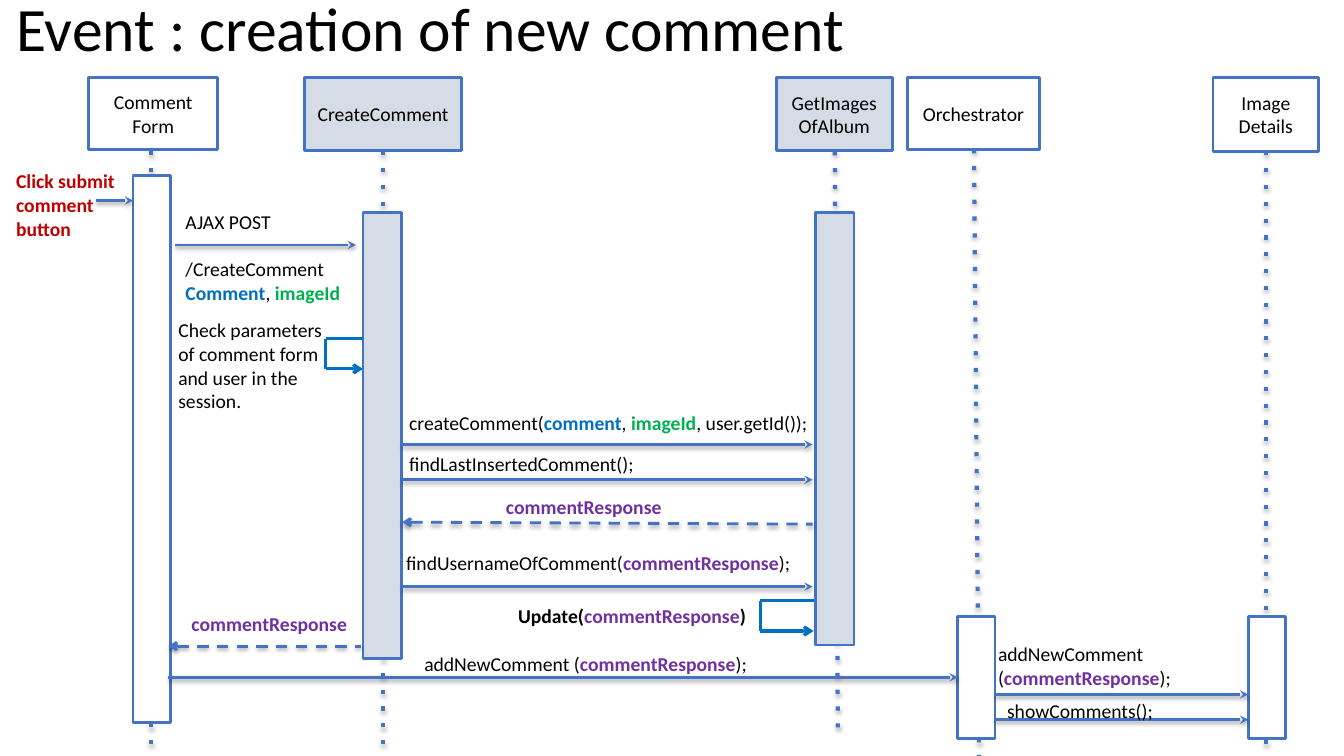
from lxml import etree
from pptx import Presentation
from pptx.dml.color import RGBColor
from pptx.enum.shapes import MSO_CONNECTOR, MSO_SHAPE
from pptx.enum.text import MSO_ANCHOR, MSO_AUTO_SIZE, PP_ALIGN
from pptx.oxml.ns import qn
from pptx.util import Inches, Pt

THEME = {
    "font": "Calibri", "title size": 44, "text size": 14,
    "black": "000000", "white": "FFFFFF", "server": "D6DCE5",
    "line": "4472C4", "loop": "0070C0",
    "comment": "0070C0", "image": "00B050", "response": "7030A0", "event": "C00000",
}

# Content: text is a list of paragraphs, each a list of (text, colour, bold)
TITLE = "Event : creation of new comment"
RESPONSE = ("commentResponse", "response", True)


def plain(text):
    return (text, "black", False)


# name, head (left, width, height), fill, lifeline (x1, y1, x2, y2), bar (left, top, width, height)
PARTICIPANTS = [
    ("Comment Form", (0.88, 1.28, 0.71), "white", (1.5, 1.5, 1.5, 7.5), (1.32, 1.74, 0.37, 5.43)),
    ("CreateComment", (3.02, 1.56, 0.72), "server", (3.8, 1.5, 3.8, 7.5), (3.6, 2.11, 0.38, 4.42)),
    ("GetImagesOfAlbum", (7.7, 1.15, 0.72), "server", (8.28, 1.5, 8.31, 7.33), (8.09, 2.11, 0.38, 4.29)),
    ("Orchestrator", (9, 1.31, 0.71), "white", (9.66, 1.48, 9.71, 7.5), (9.5, 6.12, 0.37, 1.21)),
    ("Image Details", (12.03, 1.05, 0.73), "white", (12.56, 1.5, 12.56, 7.5), (12.38, 6.12, 0.37, 1.21)),
]
HEAD_TOP = 0.77

# x1, x2, y
CALLS = [
    (0.95, 1.32, 1.99), (1.74, 3.53, 2.43),
    (3.99, 8.06, 4.41), (3.99, 8.06, 4.76), (3.99, 8.06, 5.82),
    (1.67, 9.5, 6.72), (9.87, 12.38, 6.89), (9.87, 12.38, 7.14),
]
# x1, y1, x2, y2; the arrowhead is at the start
REPLIES = [(3.99, 5.18, 8.06, 5.2), (1.67, 6.41, 3.58, 6.41)]
# left, right, top
SELF_CALLS = [(3.23, 3.6, 3.36), (7.54, 8.07, 5.96)]
LOOP_HEIGHT = 0.3

# left, top, width, height, side inset, paragraphs
LABELS = [
    (0.04, 1.62, 1.33, 0.49, 0.12, [[("Click submit comment button", "event", True)]]),
    (1.72, 2.02, 1.8, 1.09, 0.12, [
        [plain("AJAX POST")],
        [plain("/CreateComment")],
        [("Comment", "comment", True), plain(", "), ("imageId", "image", True)]]),
    (1.67, 3.11, 1.78, 1.04, 0.1, [
        [plain("Check parameters of comment form and user in the session.")]]),
    (3.96, 4.03, 5.34, 0.34, 0.1, [
        [plain("createComment("), ("comment", "comment", True), plain(", "),
         ("imageId", "image", True), plain(", user.getId());")]]),
    (3.96, 4.43, 2.49, 0.34, 0.1, [[plain("findLastInsertedComment();")]]),
    (4.92, 4.86, 1.78, 0.34, 0.1, [[RESPONSE]]),
    (3.93, 5.42, 4.03, 0.34, 0.1, [[plain("findUsernameOfComment("), RESPONSE, plain(");")]]),
    (5.04, 5.94, 2.71, 0.34, 0.1, [[("Update(", "black", True), RESPONSE, (")", "black", True)]]),
    (1.8, 6.02, 1.78, 0.34, 0.1, [[RESPONSE]]),
    (4.11, 6.42, 3.96, 0.34, 0.1, [[plain("addNewComment ("), RESPONSE, plain(");")]]),
    (9.8, 6.32, 1.92, 0.57, 0.1, [
        [plain("addNewComment")], [plain("("), RESPONSE, plain(");")]]),
    (9.89, 6.88, 1.96, 0.34, 0.1, [[plain("showComments();")]]),
]
AJAX_GAP = 17  # points between the request line and its address


def color(name):
    return RGBColor.from_string(THEME[name])


def format_run(run, color_name="black", bold=False, size="text size"):
    run.font.name = THEME["font"]
    run.font.size = Pt(THEME[size])
    run.font.bold = bold
    run.font.color.rgb = color(color_name)


def set_insets(text_frame, side, end):
    text_frame.margin_left = text_frame.margin_right = Inches(side)
    text_frame.margin_top = text_frame.margin_bottom = Inches(end)


def add_box(slide, box, fill):
    shape = slide.shapes.add_shape(MSO_SHAPE.RECTANGLE, *map(Inches, box))
    shape.shadow.inherit = False
    shape.fill.solid()
    shape.fill.fore_color.rgb = color(fill)
    shape.line.color.rgb = color("line")
    shape.line.width = Pt(2)
    return shape


def add_line(slide, points, line_color="line", width=2, dash=None, head=None, tail=None, shadow=38):
    line = slide.shapes.add_connector(MSO_CONNECTOR.STRAIGHT, *map(Inches, points))
    line.line.color.rgb = color(line_color)
    line.line.width = Pt(width)
    outline = line.line._get_or_add_ln()
    if dash:
        etree.SubElement(outline, qn("a:prstDash"), val=dash)
    for tag, kind in (("a:headEnd", head), ("a:tailEnd", tail)):
        if kind:
            etree.SubElement(outline, qn(tag), type=kind)
    effects = etree.SubElement(line._element.spPr, qn("a:effectLst"))
    if shadow:
        distance = Pt(1.8 if dash == "dot" else 1.6)
        outer = etree.SubElement(effects, qn("a:outerShdw"), blurRad=str(Pt(3.1)),
                                 dist=str(distance), dir="5400000", rotWithShape="0")
        shade = etree.SubElement(outer, qn("a:srgbClr"), val=THEME["black"])
        etree.SubElement(shade, qn("a:alpha"), val=str(shadow * 1000))


def add_label(slide, left, top, width, height, inset, paragraphs):
    text_box = slide.shapes.add_textbox(*map(Inches, (left, top, width, height)))
    text_frame = text_box.text_frame
    text_frame.word_wrap = True
    set_insets(text_frame, inset, inset / 2)
    for index, spans in enumerate(paragraphs):
        paragraph = text_frame.add_paragraph() if index else text_frame.paragraphs[0]
        for text, color_name, bold in spans:
            run = paragraph.add_run()
            run.text = text
            format_run(run, color_name, bold)
    return text_frame


def main():
    presentation = Presentation()
    presentation.slide_width, presentation.slide_height = Inches(13.33), Inches(7.5)
    slide = presentation.slides.add_slide(presentation.slide_layouts[5])

    # Title
    title = slide.shapes.title
    title.left, title.top, title.width, title.height = map(Inches, (0.04, 0.01, 8.82, 0.61))
    text_frame = title.text_frame
    text_frame.text = TITLE
    text_frame.auto_size = MSO_AUTO_SIZE.NONE
    text_frame.vertical_anchor = MSO_ANCHOR.MIDDLE
    set_insets(text_frame, 0.12, 0.06)
    paragraph = text_frame.paragraphs[0]
    paragraph.alignment = PP_ALIGN.LEFT
    paragraph.line_spacing = 0.9
    format_run(paragraph.runs[0], size="title size")

    # Participants: lifeline, head and activation bar
    for name, (left, width, height), fill, lifeline, bar in PARTICIPANTS:
        add_line(slide, lifeline, width=3, dash="dot", shadow=35)
        head = add_box(slide, (left, HEAD_TOP, width, height), fill)
        head.text_frame.text = name
        head.text_frame.word_wrap = True
        head.text_frame.vertical_anchor = MSO_ANCHOR.MIDDLE
        set_insets(head.text_frame, 0.12, 0.06)
        head.text_frame.paragraphs[0].alignment = PP_ALIGN.CENTER
        format_run(head.text_frame.paragraphs[0].runs[0])
        add_box(slide, bar, fill)

    # Messages
    for start, end, y in CALLS:
        add_line(slide, (start, y, end, y), tail="stealth")
    for points in REPLIES:
        add_line(slide, points, dash="dash", head="arrow")
    for left, right, top in SELF_CALLS:
        bottom = top + LOOP_HEIGHT
        for points, tail in (((right, top, left, top), None),
                             ((left, top, left, bottom), None),
                             ((left, bottom, right, bottom), "arrow")):
            add_line(slide, points, "loop", 2.25, tail=tail, shadow=None)

    # Labels
    frames = [add_label(slide, *label) for label in LABELS]
    frames[1].paragraphs[1].space_before = Pt(AJAX_GAP)

    presentation.save("out.pptx")


if __name__ == "__main__":
    main()
